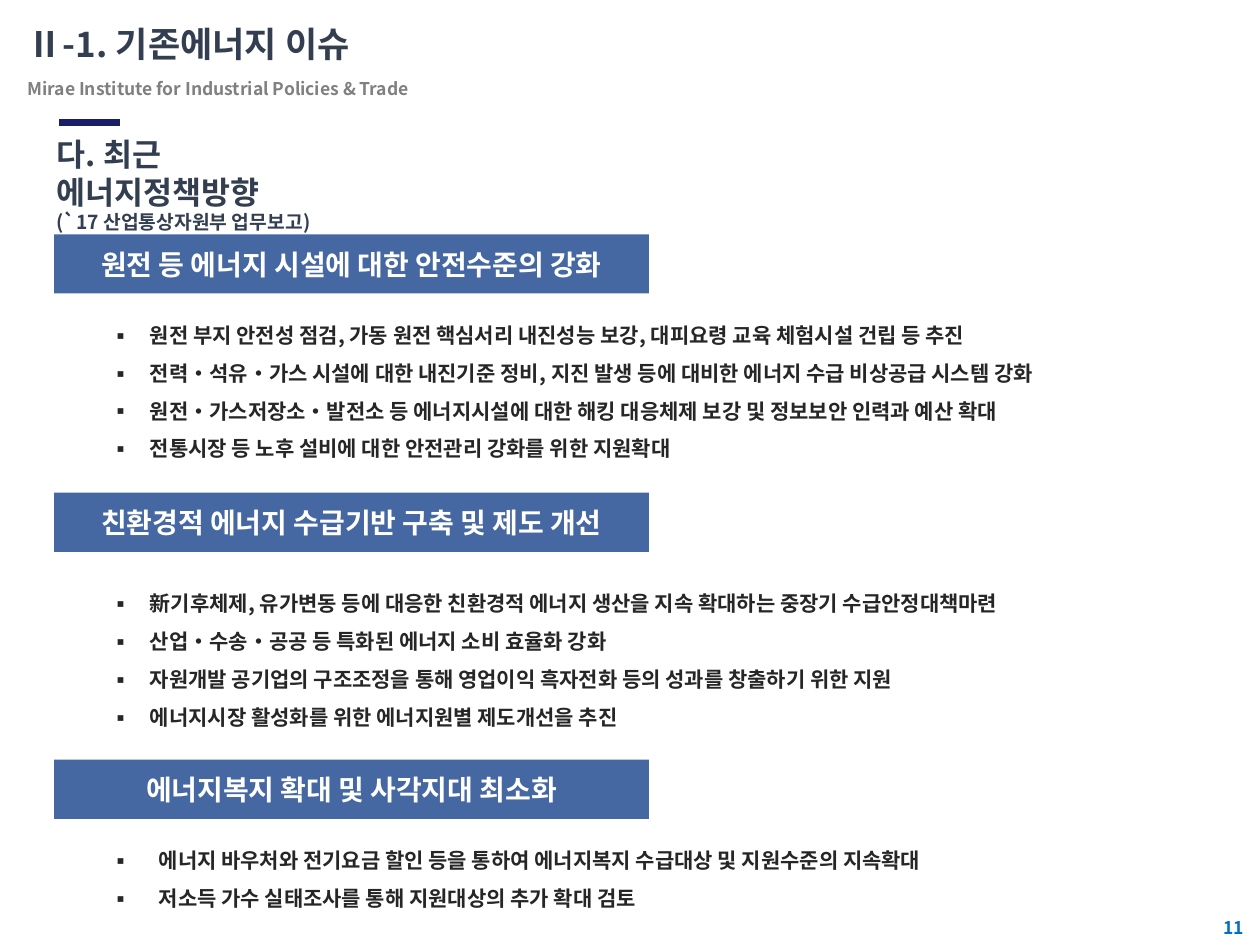
from lxml.etree import SubElement
from pptx import Presentation
from pptx.dml.color import RGBColor
from pptx.enum.shapes import MSO_CONNECTOR, MSO_SHAPE
from pptx.enum.text import MSO_ANCHOR, MSO_AUTO_SIZE, PP_ALIGN
from pptx.oxml.ns import qn
from pptx.util import Inches, Pt

FONT = "Noto Sans CJK KR"
SLATE = RGBColor(0x33, 0x3F, 0x50)
GRAY = RGBColor(0x80, 0x80, 0x80)
BANNER_BLUE = RGBColor(0x2F, 0x55, 0x97)
WHITE = RGBColor(0xFF, 0xFF, 0xFF)
INK = RGBColor(0x26, 0x26, 0x26)
PAGE_BLUE = RGBColor(0x00, 0x70, 0xC0)
NAVY = RGBColor(0x19, 0x1D, 0x6A)

TITLE = "Ⅱ-1. 기존에너지 이슈"
INSTITUTE = "Mirae Institute for Industrial Policies & Trade"
TOPIC = [("다. 최근 에너지정책방향", 18), ("(`17 산업통상자원부 업무보고)", 11)]
PAGE = "11"

SECTIONS = [
    {"heading": "원전 등 에너지 시설에 대한 안전수준의 강화",
     "top": 1.86, "list_top": 2.41, "margin": 0.81, "hanging": 0.31,
     "points": [
         "원전 부지 안전성 점검, 가동 원전 핵심서리 내진성능 보강, 대피요령 교육 체험시설 건립 등 추진",
         "전력•석유•가스 시설에 대한 내진기준 정비, 지진 발생 등에 대비한 에너지 수급 비상공급 시스템 강화",
         "원전•가스저장소•발전소 등 에너지시설에 대한 해킹 대응체제 보강 및 정보보안 인력과 예산 확대",
         "전통시장 등 노후 설비에 대한 안전관리 강화를 위한 지원확대"]},
    {"heading": "친환경적 에너지 수급기반 구축 및 제도 개선",
     "top": 3.91, "list_top": 4.54, "margin": 0.81, "hanging": 0.31,
     "points": [
         "新기후체제, 유가변동 등에 대응한 친환경적 에너지 생산을 지속 확대하는 중장기 수급안정대책마련",
         "산업•수송•공공 등 특화된 에너지 소비 효율화 강화",
         "자원개발 공기업의 구조조정을 통해 영업이익 흑자전화 등의 성과를 창출하기 위한 지원",
         "에너지시장 활성화를 위한 에너지원별 제도개선을 추진"]},
    {"heading": "에너지복지 확대 및 사각지대 최소화",
     "top": 6.03, "list_top": 6.58, "margin": 0.88, "hanging": 0.38,
     "points": [
         "에너지 바우처와 전기요금 할인 등을 통하여 에너지복지 수급대상 및 지원수준의 지속확대",
         "저소득 가수 실태조사를 통해 지원대상의 추가 확대 검토"]},
]
LIST_SLOTS = (1, 2, 4)
TOPIC_SLOT = 3
POINT_HEIGHT = 0.3


def place(shape, left, top, width, height):
    """Move and size a shape, in inches."""
    shape.left, shape.top = Inches(left), Inches(top)
    shape.width, shape.height = Inches(width), Inches(height)
    return shape


def write(shape, lines, color, size=12, align=PP_ALIGN.LEFT, anchor=MSO_ANCHOR.TOP,
          spacing=1.0, level=0, margin=0, hanging=0, bullet=None):
    """Fill a shape with bold lines; a line is a string or a (string, size) pair."""
    frame = shape.text_frame
    frame.word_wrap = True
    frame.auto_size = MSO_AUTO_SIZE.NONE
    frame.vertical_anchor = anchor
    for number, line in enumerate(lines):
        words, points = line if isinstance(line, tuple) else (line, size)
        paragraph = frame.add_paragraph() if number else frame.paragraphs[0]
        paragraph.alignment = align
        paragraph.level = level
        paragraph.line_spacing = spacing
        paragraph.space_before = paragraph.space_after = Pt(0)
        properties = paragraph._p.get_or_add_pPr()
        properties.set("marL", str(Inches(margin)))
        properties.set("indent", str(-Inches(hanging)))
        if bullet:
            SubElement(properties, qn("a:buFont"), typeface=FONT)
            SubElement(properties, qn("a:buChar"), char=bullet)
        else:
            SubElement(properties, qn("a:buNone"))
        run = paragraph.add_run()
        run.text = words
        run.font.name, run.font.size, run.font.bold = FONT, Pt(points), True
        run.font.color.rgb = color
        SubElement(run._r.get_or_add_rPr(), qn("a:ea"), typeface=FONT)


def add_label(slide, words, box, color, size):
    """Add a one-line text box."""
    label = slide.shapes.add_textbox(*map(Inches, box))
    write(label, [words], color, size=size)


def add_banner(slide, heading, top):
    """Add a slightly transparent heading bar."""
    banner = slide.shapes.add_shape(
        MSO_SHAPE.RECTANGLE, Inches(0.43), Inches(top), Inches(4.72), Inches(0.47))
    banner.shadow.inherit = False
    banner.fill.solid()
    banner.fill.fore_color.rgb = BANNER_BLUE
    banner.line.fill.background()
    color = banner._element.spPr.find(qn("a:solidFill"))[0]
    SubElement(color, qn("a:alpha"), val="89000")
    write(banner, [heading], WHITE, size=16, align=PP_ALIGN.CENTER,
          anchor=MSO_ANCHOR.MIDDLE)


def add_accent(slide):
    """Add the short thick line above the topic."""
    accent = slide.shapes.add_connector(
        MSO_CONNECTOR.STRAIGHT, Inches(0.47), Inches(0.97), Inches(0.95), Inches(0.97))
    accent.line.color.rgb = NAVY
    accent.line.width = Pt(4)
    SubElement(accent._element.spPr, qn("a:effectLst"))


def build():
    """Build and save the slide."""
    deck = Presentation()
    deck.slide_width, deck.slide_height = Inches(10), Inches(7.5)
    slide = deck.slides.add_slide(deck.slide_layouts.get_by_name("Comparison"))
    slots = {slot.placeholder_format.idx: slot for slot in slide.placeholders}

    write(place(slots[0], 0.12, 0.13, 4.72, 0.44), [TITLE], SLATE, size=20)
    add_label(slide, INSTITUTE, (0.12, 0.57, 6.61, 0.27), GRAY, 10)
    for section, slot in zip(SECTIONS, LIST_SLOTS):
        add_banner(slide, section["heading"], section["top"])
        points = section["points"]
        height = POINT_HEIGHT * len(points) + 0.11
        write(place(slots[slot], 0.28, section["list_top"], 8.74, height), points, INK,
              spacing=1.5, level=2, margin=section["margin"],
              hanging=section["hanging"], bullet="▪")
    add_label(slide, PAGE, (9.61, 7.23, 0.39, 0.27), PAGE_BLUE, 10)
    write(place(slots[TOPIC_SLOT], 0.35, 1.02, 2.4, 0.88), TOPIC, SLATE, level=1)
    add_accent(slide)
    deck.save("out.pptx")


build()
